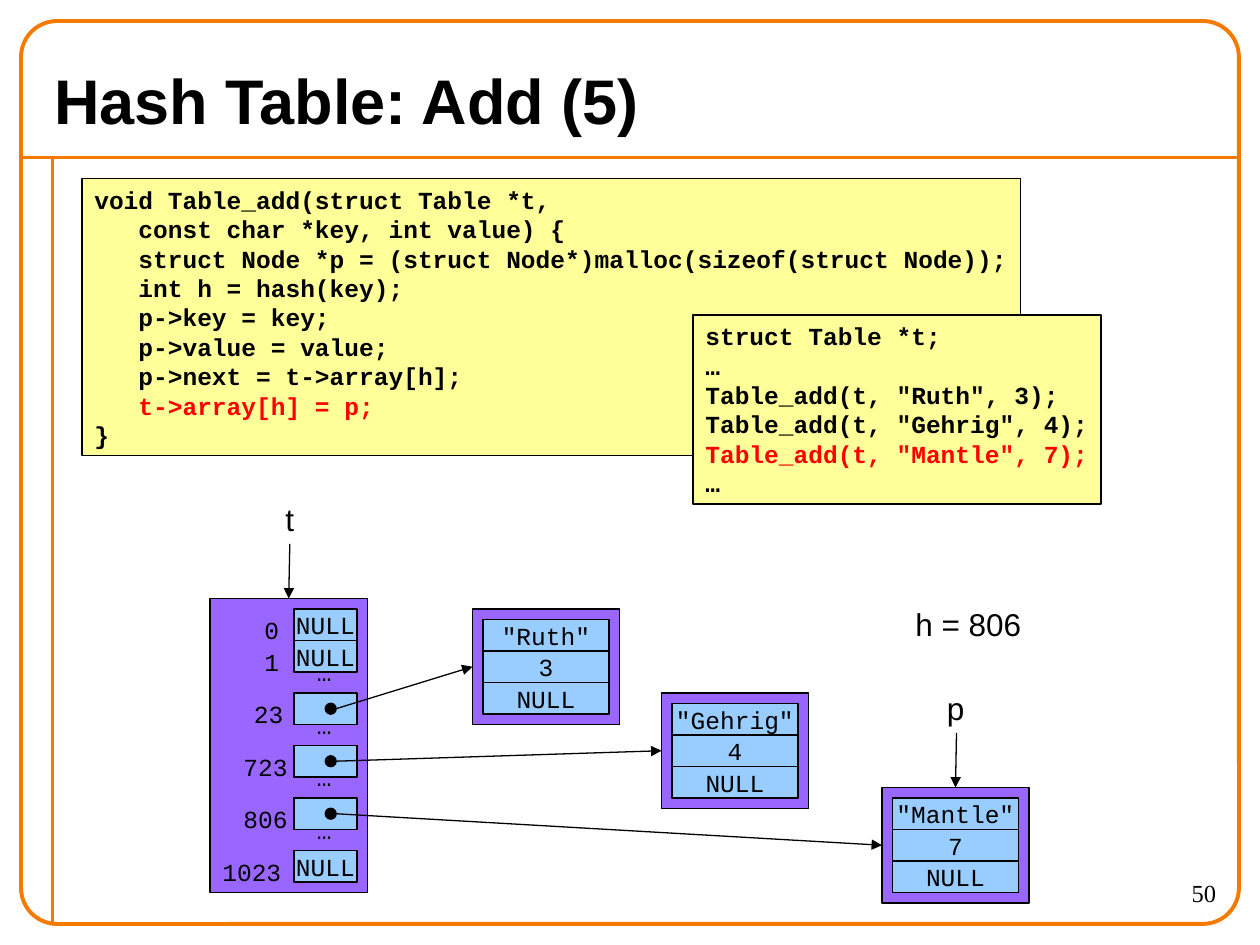
from lxml.etree import SubElement
from pptx import Presentation
from pptx.dml.color import RGBColor
from pptx.enum.shapes import MSO_CONNECTOR as Connector, MSO_SHAPE as Shape
from pptx.enum.text import MSO_ANCHOR as Anchor, PP_ALIGN as Align
from pptx.oxml.ns import qn
from pptx.util import Pt

PX = 7620  # 120 px to the inch, so the diagram sits on a 10 px grid
ORANGE = RGBColor(0xF4, 0x7A, 0x00)
YELLOW = RGBColor(0xFF, 0xFF, 0x99)
PURPLE = RGBColor(0x99, 0x66, 0xFF)
BLUE = RGBColor(0x99, 0xCC, 0xFF)
BLACK = RGBColor(0x00, 0x00, 0x00)
RED = RGBColor(0xFF, 0x00, 0x00)

CODE = {"name": "Courier New", "size": Pt(14), "bold": True}
MONO = {"name": "Courier New", "size": Pt(14)}
SANS = {"name": "Arial", "size": Pt(18)}
TITLE = {"name": "Arial", "size": Pt(36), "bold": True}
NUMBER = {"name": "Times New Roman", "size": Pt(14)}
ROW_H = 30

prs = Presentation()
prs.slide_width, prs.slide_height = 1200 * PX, 900 * PX
slide = prs.slides.add_slide(prs.slide_layouts[6])
shapes = slide.shapes


def box(x, y, w, h, fill=None, text="", style=MONO, align=Align.LEFT,
        anchor=Anchor.TOP, red="", kind=Shape.RECTANGLE):
    """Outlined shape if a fill is given, otherwise a plain text box."""
    place = [v * PX for v in (x, y, w, h)]
    if fill is None:
        item = shapes.add_textbox(*place)
    else:
        item = shapes.add_shape(kind, *place)
        item.shadow.inherit = False
        item.fill.solid()
        item.fill.fore_color.rgb = fill
        item.line.color.rgb = BLACK
        item.line.width = Pt(1)
    if not text:
        return
    frame = item.text_frame
    frame.word_wrap = False
    frame.vertical_anchor = anchor
    for i, line in enumerate(text.split("\n")):
        para = frame.add_paragraph() if i else frame.paragraphs[0]
        para.alignment = align
        run = para.add_run()
        run.text = line
        for key, value in style.items():
            setattr(run.font, key, value)
        run.font.color.rgb = RED if line == red else BLACK


def line(x1, y1, x2, y2, color=BLACK, width=0.75, arrow=True):
    link = shapes.add_connector(Connector.STRAIGHT, x1 * PX, y1 * PX, x2 * PX, y2 * PX)
    link.line.color.rgb = color
    link.line.width = Pt(width)
    if arrow:
        SubElement(link.line._get_or_add_ln(), qn("a:tailEnd"), type="triangle")
    SubElement(link._element.spPr, qn("a:effectLst"))


# Slide frame and rules
line(20, 150, 1180, 150, ORANGE, 2.25, False)
line(50, 150, 50, 880, ORANGE, 2.25, False)
border = shapes.add_shape(Shape.ROUNDED_RECTANGLE, 20 * PX, 20 * PX, 1160 * PX, 860 * PX)
border.adjustments[0] = 0.04
border.shadow.inherit = False
border.fill.background()
border.line.color.rgb = ORANGE
border.line.width = Pt(2.25)

# Title and slide number
box(40, 50, 1120, 90, text="Hash Table: Add (5)", style=TITLE, anchor=Anchor.MIDDLE)
box(1050, 830, 120, 50, text="50", style=NUMBER, align=Align.RIGHT)
# An unwrapped line would be centred in its wider box
for wide in list(shapes)[-2:]:
    wide.text_frame.word_wrap = True

# Function code, then the calling code over its corner
ADD_CODE = """void Table_add(struct Table *t,
   const char *key, int value) {
   struct Node *p = (struct Node*)malloc(sizeof(struct Node));
   int h = hash(key);
   p->key = key;
   p->value = value;
   p->next = t->array[h];
   t->array[h] = p;
}"""
CALL_CODE = """struct Table *t;
…
Table_add(t, "Ruth", 3);
Table_add(t, "Gehrig", 4);
Table_add(t, "Mantle", 7);
…"""
box(78, 170, 894, 264, YELLOW, ADD_CODE, CODE, anchor=Anchor.MIDDLE,
    red="   t->array[h] = p;")
box(660, 300, 389, 180, YELLOW, CALL_CODE, CODE, anchor=Anchor.MIDDLE,
    red='Table_add(t, "Mantle", 7);')

# Bucket array: index, label left, label width, top, content
box(200, 570, 150, 280, PURPLE)
buckets = [
    ("0", 240, 37, 580, "NULL"),
    ("1", 240, 37, 610, "NULL"),
    ("23", 230, 52, 660, ""),
    ("723", 220, 66, 710, ""),
    ("806", 220, 66, 760, ""),
    ("1023", 200, 80, 810, "NULL"),
]
for index, left, width, top, content in buckets:
    box(280, top, 60, ROW_H, BLUE, content, align=Align.CENTER, anchor=Anchor.MIDDLE)
    box(left, top, width, 41, text=index)
for top in range(620, 771, 50):
    box(290, top, 37, 41, text="…")

# Nodes, each with the pointer from its bucket
nodes = [
    (450, 580, '"Ruth"', "3", 660),
    (630, 660, '"Gehrig"', "4", 710),
    (840, 750, '"Mantle"', "7", 760),
]
for x, y, key, value, bucket_top in nodes:
    box(x, y, 140, 110, PURPLE)
    for row, field in enumerate((key, value, "NULL")):
        box(x + 10, y + 10 + row * ROW_H, 120, ROW_H, BLUE, field,
            align=Align.CENTER, anchor=Anchor.MIDDLE)
    box(310, bucket_top + 10, 10, 10, BLACK, kind=Shape.OVAL)
    line(320, bucket_top + 15, x, y + 55)

# Variables t, p and h
box(260, 470, 32, 48, text="t", style=SANS)
line(276, 518, 275, 570)
box(890, 650, 41, 48, text="p", style=SANS)
line(911, 698, 910, 750)
box(860, 570, 125, 48, text="h = 806", style=SANS)

prs.save("out.pptx")
